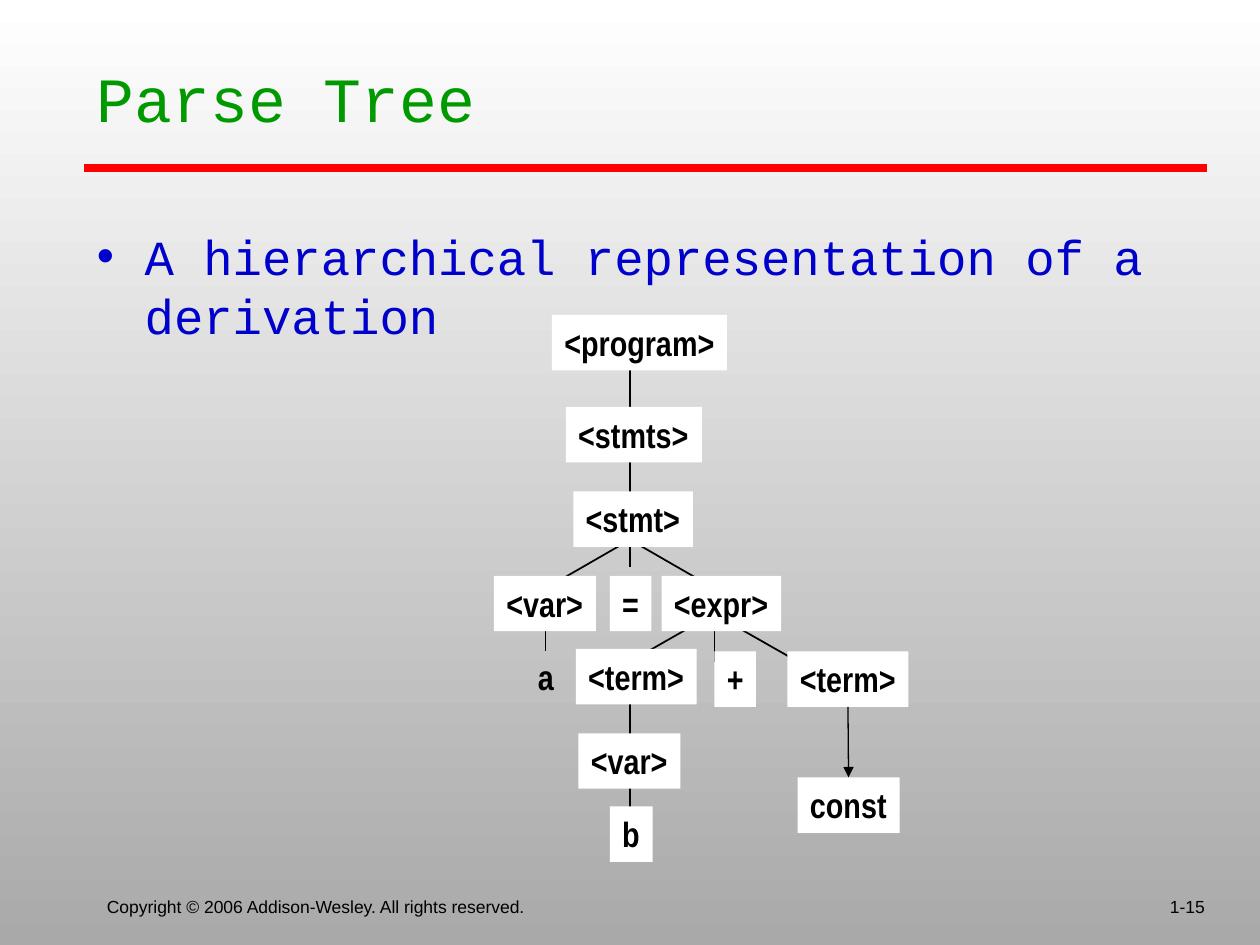
import pptx
import pptx.dml.color
import pptx.enum.shapes
import pptx.enum.text
import pptx.oxml
import pptx.oxml.ns
import pptx.util
from dataclasses import dataclass

Inches = pptx.util.Inches
Pt = pptx.util.Pt
Anchor = pptx.enum.text.MSO_ANCHOR
Align = pptx.enum.text.PP_ALIGN


@dataclass(frozen=True)
class Theme:
    """Colours, fonts and sizes of the slide."""
    background_top: str = "FFFFFF"
    background_bottom: str = "A9A9A9"
    title: str = "009900"
    body: str = "0000CC"
    rule: str = "FF0000"
    ink: str = "000000"
    node_fill: str = "FFFFFF"
    heading_font: str = "Courier New"
    footer_font: str = "Arial"
    node_font: str = "Arial Narrow"
    title_size: int = 36
    body_size: int = 28
    node_size: int = 20
    footer_size: int = 10
    node_height: float = 0.44


THEME = Theme()

BRANCHES = [
    (5, 5.33, 5, 6.67),
    (5, 2.75, 5, 4.5),
    (5.08, 4.33, 5.67, 4.67),
    (4.33, 4.67, 4.33, 5.17),
    (4.33, 4.67, 4.92, 4.33),
    (5.67, 4.67, 5.67, 5.25),
    (5.75, 4.92, 6.33, 5.25),
    (5, 5.25, 5.58, 4.92),
]

SYMBOLS = [
    ("<program>", 4.38, 2.5, 1.39),
    ("<stmts>", 4.49, 3.23, 1.08),
    ("<stmt>", 4.55, 3.9, 0.95),
    ("<var>", 3.92, 4.57, 0.81),
    ("=", 4.84, 4.57, 0.33),
    ("<expr>", 5.25, 4.57, 0.95),
    ("<var>", 4.59, 5.82, 0.81),
    ("b", 4.84, 6.4, 0.34),
    ("<term>", 4.57, 5.15, 0.96),
    ("+", 5.67, 5.17, 0.33),
]


def rgb(value):
    """Turn a hex string into a colour."""
    return pptx.dml.color.RGBColor.from_string(value)


def add_xml(parent, tag, **attributes):
    """Append a DrawingML element with the given attributes."""
    child = pptx.oxml.parse_xml(f"<a:{tag} {pptx.oxml.ns.nsdecls('a')}/>")
    for name, value in attributes.items():
        child.set(name, value)
    parent.append(child)
    return child


def write(shape, text, *, font, size, color, bold=False, align=Align.LEFT,
          anchor=Anchor.TOP, wrap=True, right_inset=0.1, bullet=None,
          indent=0.38):
    """Put one formatted paragraph into a shape."""
    frame = shape.text_frame
    frame.word_wrap = wrap
    frame.vertical_anchor = anchor
    frame.margin_right = Inches(right_inset)
    paragraph = frame.paragraphs[0]
    paragraph.alignment = align
    if bullet:
        properties = paragraph._p.get_or_add_pPr()
        properties.set("marL", str(Inches(indent)))
        properties.set("indent", str(-Inches(indent)))
        add_xml(properties, "buFont", typeface=THEME.footer_font)
        add_xml(properties, "buChar", char=bullet)
    run = paragraph.add_run()
    run.text = text
    run.font.name = font
    run.font.size = Pt(size)
    run.font.bold = bold
    run.font.color.rgb = rgb(color)


def add_text(slide, text, left, top, width, height, **style):
    """Add a text box holding formatted text."""
    area = slide.shapes.add_textbox(
        Inches(left), Inches(top), Inches(width), Inches(height))
    write(area, text, **style)


def add_line(slide, x1, y1, x2, y2, color=THEME.ink, width=1.0):
    """Add a straight line without a shadow."""
    line = slide.shapes.add_connector(
        pptx.enum.shapes.MSO_CONNECTOR.STRAIGHT,
        Inches(x1), Inches(y1), Inches(x2), Inches(y2))
    line.line.color.rgb = rgb(color)
    line.line.width = Pt(width)
    add_xml(line._element.spPr, "effectLst")
    return line


def add_symbol(slide, text, left, top, width, filled=True):
    """Add one grammar symbol of the tree."""
    place = [Inches(n) for n in (left, top, width, THEME.node_height)]
    if filled:
        symbol = slide.shapes.add_shape(
            pptx.enum.shapes.MSO_SHAPE.RECTANGLE, *place)
        symbol.shadow.inherit = False
        symbol.fill.solid()
        symbol.fill.fore_color.rgb = rgb(THEME.node_fill)
        symbol.line.fill.background()
    else:
        symbol = slide.shapes.add_textbox(*place)
    write(symbol, text, font=THEME.node_font, size=THEME.node_size,
          color=THEME.ink, bold=True, wrap=False, right_inset=0.08)
    symbol.text_frame.auto_size = pptx.enum.text.MSO_AUTO_SIZE.SHAPE_TO_FIT_TEXT
    return symbol


def add_arrow(slide, parent, child):
    """Join the bottom of one symbol to the top of another with an arrow."""
    arrow = add_line(slide, 0, 0, 1, 1, width=0.75)
    arrow.begin_connect(parent, 2)
    arrow.end_connect(child, 0)
    add_xml(arrow.line._get_or_add_ln(), "tailEnd", type="triangle")


def paint_background(slide):
    """Fill the slide with a vertical gradient."""
    fill = slide.background.fill
    fill.gradient()
    fill.gradient_angle = 270
    shades = (THEME.background_top, THEME.background_bottom)
    for stop, shade in zip(fill.gradient_stops, shades):
        stop.color.rgb = rgb(shade)


def add_tree(slide):
    """Draw the branches and then the symbols of the parse tree."""
    for branch in BRANCHES:
        add_line(slide, *branch)
    for symbol in SYMBOLS:
        add_symbol(slide, *symbol)
    add_symbol(slide, "a", 4.17, 5.15, 0.32, filled=False)
    last_term = add_symbol(slide, "<term>", 6.25, 5.17, 0.96)
    constant = add_symbol(slide, "const", 6.33, 6.17, 0.81)
    add_arrow(slide, last_term, constant)


def main():
    """Build and save the slide."""
    deck = pptx.Presentation()
    deck.slide_width, deck.slide_height = Inches(10), Inches(7.5)
    slide = deck.slides.add_slide(deck.slide_layouts[6])
    paint_background(slide)
    add_line(slide, 0.67, 1.67, 0.67, 1.67, width=0.75)
    add_line(slide, 0.67, 1.33, 9.58, 1.33, color=THEME.rule, width=4.5)
    footer = dict(font=THEME.footer_font, size=THEME.footer_size,
                  color=THEME.ink, anchor=Anchor.BOTTOM)
    add_text(slide, "Copyright © 2006 Addison-Wesley. All rights reserved.",
             0.75, 6.83, 4.58, 0.5, **footer)
    add_text(slide, "1-15", 7.58, 6.83, 2.08, 0.5, align=Align.RIGHT, **footer)
    add_text(slide, "Parse Tree", 0.67, 0.42, 8.92, 1.25,
             font=THEME.heading_font, size=THEME.title_size,
             color=THEME.title)
    add_text(slide, "A hierarchical representation of a derivation",
             0.67, 1.75, 8.92, 5, font=THEME.heading_font,
             size=THEME.body_size, color=THEME.body, bullet="•")
    add_tree(slide)
    deck.save("out.pptx")


if __name__ == "__main__":
    main()
